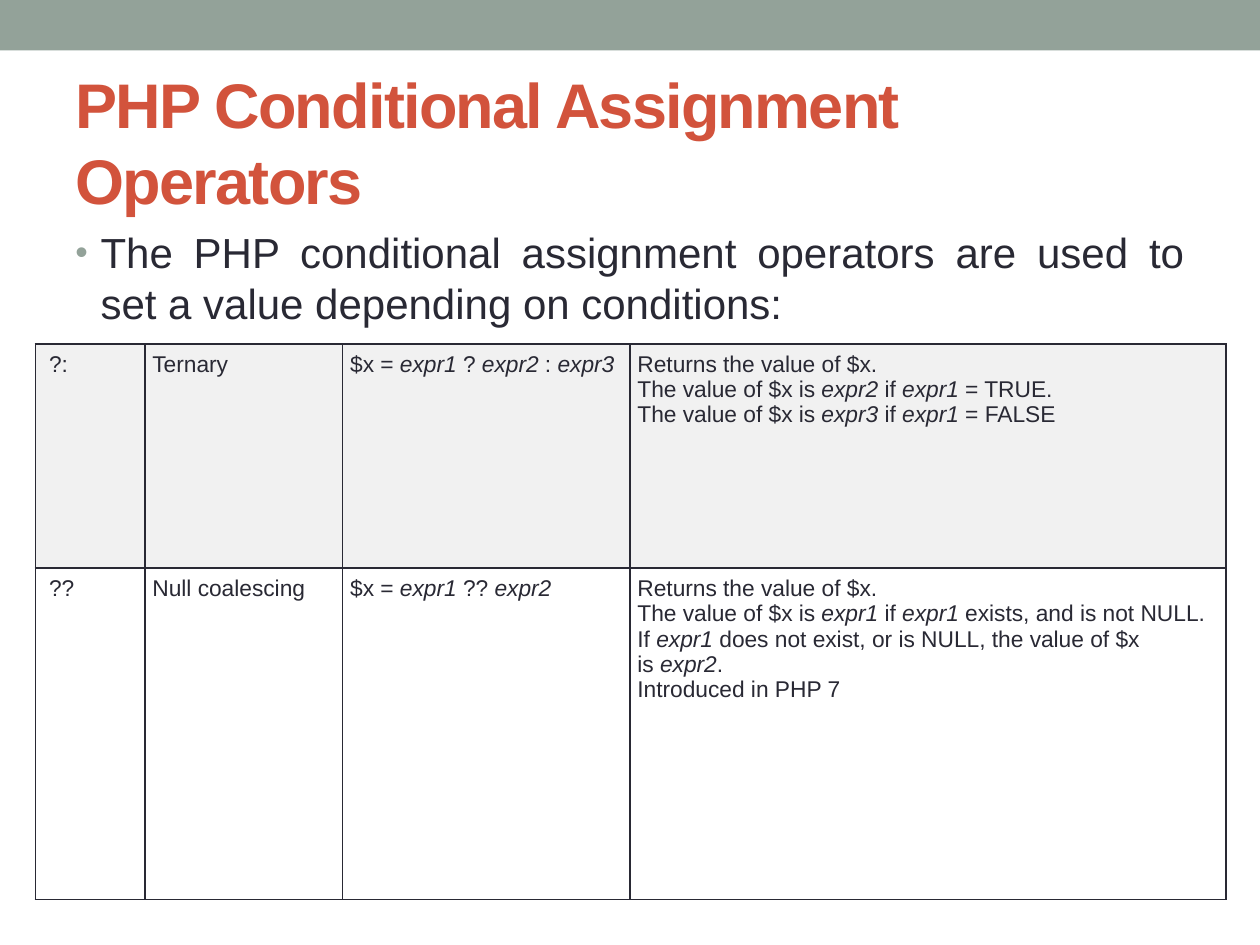
from typing import NamedTuple

from lxml import etree
from pptx import Presentation
from pptx.dml.color import RGBColor
from pptx.enum.shapes import MSO_SHAPE
from pptx.enum.text import MSO_ANCHOR, MSO_AUTO_SIZE, PP_ALIGN
from pptx.oxml.ns import qn
from pptx.util import Inches, Pt

RECTANGLE = MSO_SHAPE.RECTANGLE
MIDDLE, TOP = MSO_ANCHOR.MIDDLE, MSO_ANCHOR.TOP
LEFT, JUSTIFY = PP_ALIGN.LEFT, PP_ALIGN.JUSTIFY
NO_AUTO_SIZE = MSO_AUTO_SIZE.NONE

SAGE = RGBColor(0x93, 0xA2, 0x99)
RUST = RGBColor(0xD2, 0x53, 0x3C)
INK = RGBColor(0x29, 0x29, 0x34)
PALE_GREY = RGBColor(0xF1, 0xF1, 0xF1)
WHITE = RGBColor(0xFF, 0xFF, 0xFF)

FONT = "Arial"
ITALIC_MARK = "*"
HARD_SPACE = chr(160)
COLUMN_WIDTHS = (0.87, 1.57, 2.28, 4.73)
CELL_MARGIN = 0.06
FIRST_CELL_MARGIN = 0.11


class Operator(NamedTuple):
    symbol: str
    name: str
    example: str
    result: str
    height: float
    fill: RGBColor


OPERATORS = (
    Operator(
        "?:",
        "Ternary",
        "$x = *expr1* ? *expr2* : *expr3*",
        "Returns the value of $x.\n"
        "The value of $x is *expr2* if *expr1* = TRUE.\n"
        "The value of $x is *expr3* if *expr1* = FALSE",
        1.78,
        PALE_GREY,
    ),
    Operator(
        "??",
        "Null coalescing",
        "$x = *expr1* ?? *expr2*",
        "Returns the value of $x.\n"
        "The value of $x is *expr1* if *expr1* exists, and is not NULL.\n"
        "If *expr1* does not exist, or is NULL, the value of $x is *expr2*.\n"
        "Introduced in PHP 7",
        2.63,
        WHITE,
    ),
)


def set_attributes(target, values: dict) -> None:
    for name, value in values.items():
        setattr(target, name, value)


def add_run(paragraph, text: str, size: float, color: RGBColor, **styles):
    run = paragraph.add_run()
    run.text = text
    set_attributes(run.font, {"name": FONT, "size": Pt(size), **styles})
    run.font.color.rgb = color
    return run


def add_marked_text(paragraph, text: str, size: float) -> None:
    text = text.replace(" *", HARD_SPACE + "*").replace("* ", "*" + HARD_SPACE)
    for index, part in enumerate(text.split(ITALIC_MARK)):
        for line_index, line in enumerate(part.split("\n")):
            if line_index:
                paragraph.add_line_break()
            if line:
                add_run(paragraph, line, size, INK, italic=index % 2 == 1)


def add_band(slide) -> None:
    band = slide.shapes.add_shape(RECTANGLE, 0, 0, Inches(10), Inches(0.4))
    band.shadow.inherit = False
    band.fill.solid()
    band.fill.fore_color.rgb = SAGE
    band.line.fill.background()


def format_title(title) -> None:
    set_attributes(title, {
        "left": Inches(0.5), "top": Inches(0.58),
        "width": Inches(9), "height": Inches(1.08),
    })
    set_attributes(title.text_frame, {
        "vertical_anchor": MIDDLE, "word_wrap": True, "auto_size": NO_AUTO_SIZE,
    })
    paragraph = title.text_frame.paragraphs[0]
    paragraph.alignment = LEFT
    run = add_run(paragraph, "PHP Conditional Assignment Operators", 36, RUST, bold=True)
    run.font._element.set("spc", "-100")


def add_bullet(paragraph) -> None:
    properties = paragraph._p.get_or_add_pPr()
    properties.set("marL", str(Inches(0.2)))
    properties.set("indent", str(-Inches(0.2)))
    color = etree.SubElement(properties, qn("a:buClr"))
    etree.SubElement(color, qn("a:srgbClr"), val=str(SAGE))
    etree.SubElement(properties, qn("a:buSzPct"), val="85000")
    etree.SubElement(properties, qn("a:buFont"), typeface=FONT)
    etree.SubElement(properties, qn("a:buChar"), char="•")


def add_introduction(slide) -> None:
    box = slide.shapes.add_textbox(Inches(0.5), Inches(1.75), Inches(9), Inches(5.33))
    box.text_frame.word_wrap = True
    paragraph = box.text_frame.paragraphs[0]
    set_attributes(paragraph, {"alignment": JUSTIFY, "space_before": Pt(4.8)})
    add_bullet(paragraph)
    add_run(
        paragraph,
        "The PHP conditional assignment operators are used to set a value "
        "depending on conditions:",
        24,
        INK,
    )


def add_borders(cell) -> None:
    properties = cell._tc.get_or_add_tcPr()
    for index, side in enumerate(("a:lnL", "a:lnR", "a:lnT", "a:lnB")):
        line = etree.Element(qn(side), w=str(Pt(1)))
        fill = etree.SubElement(line, qn("a:solidFill"))
        etree.SubElement(fill, qn("a:srgbClr"), val=str(INK))
        properties.insert(index, line)


def fill_cell(cell, text: str, fill: RGBColor, left_margin: float) -> None:
    margin = Inches(CELL_MARGIN)
    set_attributes(cell, {
        "margin_left": Inches(left_margin), "margin_right": margin,
        "margin_top": margin, "margin_bottom": margin, "vertical_anchor": TOP,
    })
    cell.fill.solid()
    cell.fill.fore_color.rgb = fill
    add_borders(cell)
    add_marked_text(cell.text_frame.paragraphs[0], text, 13)


def add_operator_table(slide) -> None:
    table = slide.shapes.add_table(
        len(OPERATORS), len(COLUMN_WIDTHS),
        Inches(0.28), Inches(2.73), Inches(9.45), Inches(4.41),
    ).table
    set_attributes(table, {"first_row": False, "horz_banding": False})
    for column, width in zip(table.columns, COLUMN_WIDTHS):
        column.width = Inches(width)
    for row, operator in zip(table.rows, OPERATORS):
        row.height = Inches(operator.height)
        texts = (operator.symbol, operator.name, operator.example, operator.result)
        for index, (cell, text) in enumerate(zip(row.cells, texts)):
            left_margin = CELL_MARGIN if index else FIRST_CELL_MARGIN
            fill_cell(cell, text, operator.fill, left_margin)


def main() -> None:
    presentation = Presentation()
    presentation.slide_width = Inches(10)
    presentation.slide_height = Inches(7.5)
    slide = presentation.slides.add_slide(presentation.slide_layouts[5])
    add_band(slide)
    format_title(slide.shapes.title)
    add_introduction(slide)
    add_operator_table(slide)
    presentation.save("out.pptx")


if __name__ == "__main__":
    main()
